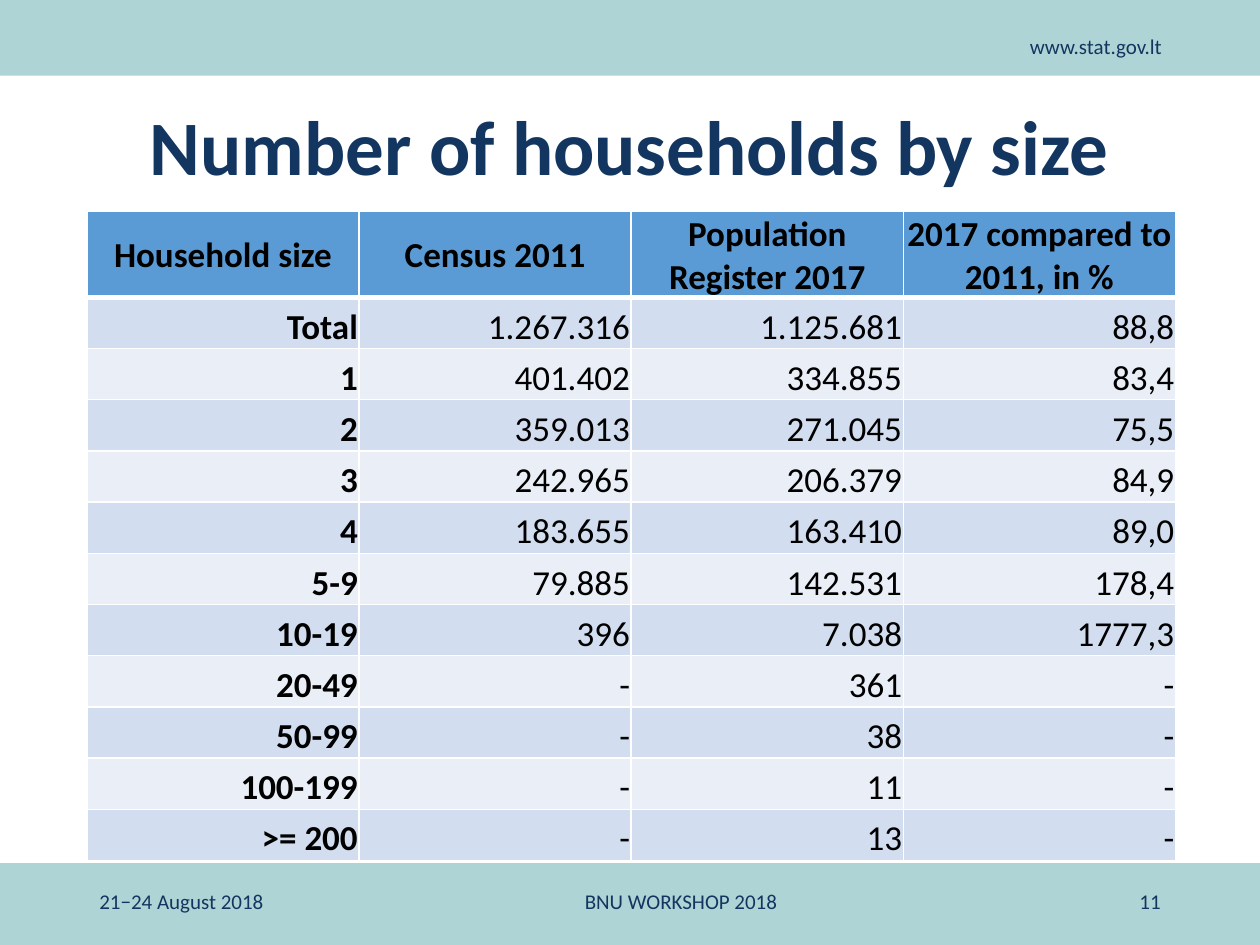
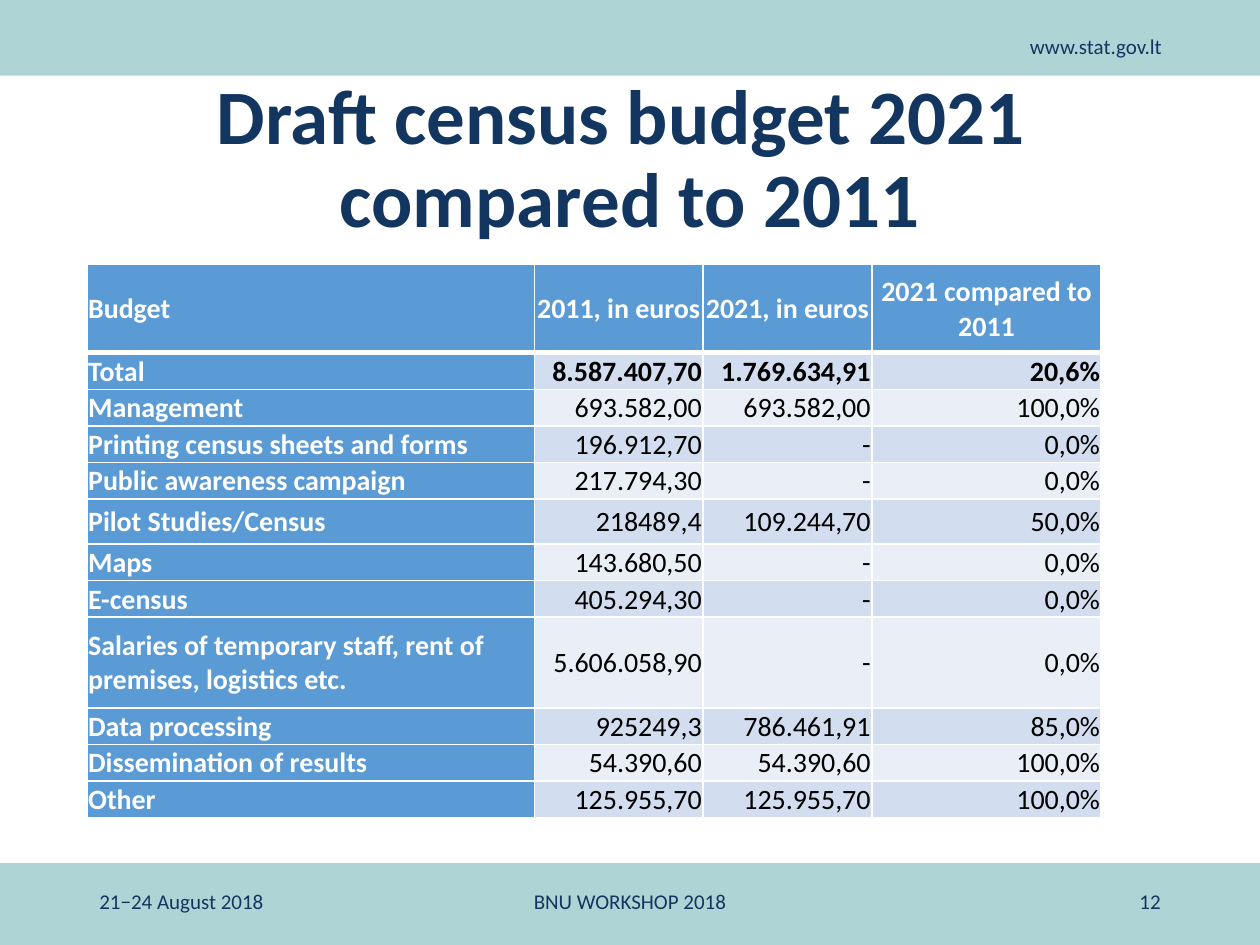
from lxml import etree
from pptx import Presentation
from pptx.dml.color import RGBColor
from pptx.enum import shapes, text
from pptx.oxml import ns
from pptx.util import Inches, Pt

NAVY = RGBColor(0x13, 0x36, 0x60)
TEAL = RGBColor(0xAF, 0xD4, 0xD5)
BLUE = RGBColor(0x5B, 0x9B, 0xD5)
DARK_BAND = RGBColor(0xD2, 0xDE, 0xEF)
LIGHT_BAND = RGBColor(0xEA, 0xEF, 0xF7)
WHITE = RGBColor(0xFF, 0xFF, 0xFF)
BLACK = RGBColor(0, 0, 0)
FONT = "Calibri"
LEFT, CENTER, RIGHT = text.PP_ALIGN.LEFT, text.PP_ALIGN.CENTER, text.PP_ALIGN.RIGHT
MIDDLE, BOTTOM, TOP = text.MSO_ANCHOR.MIDDLE, text.MSO_ANCHOR.BOTTOM, text.MSO_ANCHOR.TOP
MARGIN = Inches(0.69)

HOUSEHOLDS = [
    ("Household size", "Census 2011", "Population Register 2017", "2017 compared to 2011, in %"),
    ("Total", "1.267.316", "1.125.681", "88,8"),
    ("1", "401.402", "334.855", "83,4"),
    ("2", "359.013", "271.045", "75,5"),
    ("3", "242.965", "206.379", "84,9"),
    ("4", "183.655", "163.410", "89,0"),
    ("5-9", "79.885", "142.531", "178,4"),
    ("10-19", "396", "7.038", "1777,3"),
    ("20-49", "-", "361", "-"),
    ("50-99", "-", "38", "-"),
    ("100-199", "-", "11", "-"),
    (">= 200", "-", "13", "-"),
]
BUDGET = [
    ("Budget", "2011, in euros", "2021, in euros", "2021 compared to 2011"),
    ("Total", "8.587.407,70", "1.769.634,91", "20,6%"),
    ("Management", "693.582,00", "693.582,00", "100,0%"),
    ("Printing census sheets and forms", "196.912,70", "-", "0,0%"),
    ("Public awareness campaign", "217.794,30", "-", "0,0%"),
    ("Pilot Studies/Census", "218489,4", "109.244,70", "50,0%"),
    ("Maps", "143.680,50", "-", "0,0%"),
    ("E-census", "405.294,30", "-", "0,0%"),
    ("Salaries of temporary staff, rent of premises, logistics etc.", "5.606.058,90", "-", "0,0%"),
    ("Data processing", "925249,3", "786.461,91", "85,0%"),
    ("Dissemination of results", "54.390,60", "54.390,60", "100,0%"),
    ("Other", "125.955,70", "125.955,70", "100,0%"),
]


def write(frame, words, size=12, color=NAVY, bold=False, align=LEFT, spacing=None):
    """Fill a text frame with one formatted paragraph."""
    frame.text = words
    frame.word_wrap = True
    paragraph = frame.paragraphs[0]
    paragraph.alignment = align
    paragraph.line_spacing = spacing
    for run in paragraph.runs:
        run.font.name, run.font.size = FONT, Pt(size)
        run.font.bold, run.font.color.rgb = bold, color


def add_band(slide, top, height):
    """Draw a full-width teal band."""
    band = slide.shapes.add_shape(shapes.MSO_SHAPE.RECTANGLE, 0, top, Inches(10), height)
    band.shadow.inherit = False
    band.fill.solid()
    band.fill.fore_color.rgb = TEAL
    band.line.fill.background()


def add_label(slide, box, words, align=LEFT, anchor=MIDDLE):
    """Place a small label in a band."""
    frame = slide.shapes.add_textbox(*box).text_frame
    write(frame, words, align=align)
    frame.vertical_anchor = anchor


def add_footer(slide, top, number, event_width):
    """Place date, event and slide number in one row."""
    side, height = Inches(2.25), Inches(0.4)
    add_label(slide, (MARGIN, top, side, height), "21−24 August 2018")
    add_label(slide, (Inches(3.31), top, event_width, height), "BNU WORKSHOP 2018", CENTER)
    add_label(slide, (Inches(10) - MARGIN - side, top, side, height), str(number), RIGHT)


def add_page(deck, title, title_top, number, event_width):
    """Start a slide with title, bands, address and footer."""
    slide = deck.slides.add_slide(deck.slide_layouts[5])
    heading = slide.shapes.title
    heading.left, heading.top = MARGIN, title_top
    heading.width, heading.height = Inches(8.62), Inches(1.15)
    write(heading.text_frame, title, size=44, bold=True, align=CENTER, spacing=0.9)
    heading.text_frame.vertical_anchor = MIDDLE
    heading.text_frame.auto_size = text.MSO_AUTO_SIZE.NONE
    add_band(slide, 0, Inches(0.6))
    add_band(slide, Inches(6.85), Inches(0.65))
    add_label(slide, (Inches(7.19), Inches(0.22), Inches(2.13), Inches(0.3)),
              "www.stat.gov.lt", RIGHT, TOP)
    add_footer(slide, Inches(6.95), number, event_width)
    return slide


def set_borders(cell, row):
    """Rule a cell in white, with a thick line under the header."""
    widths = {"L": 1, "R": 1, "T": 3 if row == 1 else 1, "B": 3 if row == 0 else 1}
    properties = cell._tc.get_or_add_tcPr()
    for side, width in widths.items():
        line = etree.SubElement(properties, ns.qn(f"a:ln{side}"), w=str(Pt(width)))
        fill = etree.SubElement(line, ns.qn("a:solidFill"))
        etree.SubElement(fill, ns.qn("a:srgbClr"), val=str(WHITE))


def fill_cell(cell, row, words, fill, anchor, **style):
    """Write, rule and colour one table cell."""
    set_borders(cell, row)
    cell.fill.solid()
    cell.fill.fore_color.rgb = fill
    cell.margin_left = cell.margin_right = cell.margin_top = Inches(0.01)
    cell.margin_bottom = 0
    cell.vertical_anchor = anchor
    write(cell.text_frame, words, **style)


def add_grid(slide, top, entries, widths, heights, style_of):
    """Build a banded table whose cell styles follow the given rule."""
    grid = slide.shapes.add_table(len(entries), len(widths), MARGIN, top,
                                  Inches(sum(widths)), Inches(sum(heights))).table
    for column, width in zip(grid.columns, widths):
        column.width = Inches(width)
    for r, (entry, height) in enumerate(zip(entries, heights)):
        grid.rows[r].height = Inches(height)
        for c, words in enumerate(entry):
            band = BLUE if r == 0 else DARK_BAND if r % 2 else LIGHT_BAND
            fill_cell(grid.cell(r, c), r, words, **{"fill": band, **style_of(r, c)})


def household_style(row, column):
    """Give the cell style of the household table."""
    header = row == 0
    return dict(size=20, color=BLACK, bold=header or column == 0,
                align=CENTER if header else RIGHT, anchor=MIDDLE if header else BOTTOM)


def budget_style(row, column):
    """Give the cell style of the budget table."""
    style = dict(size=16, color=BLACK, bold=row == 1, align=RIGHT,
                 anchor=BOTTOM if (row, column) == (1, 3) else MIDDLE)
    if row == 0 or column == 0:
        style.update(color=WHITE, bold=True, fill=BLUE, align=CENTER if column else LEFT)
    return style


def build_households(deck):
    """Build the slide on households by size."""
    slide = add_page(deck, "Number of households by size", Inches(0.62), 11, Inches(4.19))
    body_height = (5.15 - 0.68) / (len(HOUSEHOLDS) - 1)
    heights = [0.68] + [body_height] * (len(HOUSEHOLDS) - 1)
    add_grid(slide, Inches(1.68), HOUSEHOLDS, [2.16] * 4, heights, household_style)


def build_budget(deck):
    """Build the slide on the census budget."""
    slide = add_page(deck, "Draft census budget 2021 \vcompared to 2011",
                     Inches(0.7), 12, Inches(3.38))
    tall = {0: 0.7, 5: 0.36, 8: 0.72}
    heights = [tall.get(row, 0.29) for row in range(len(BUDGET))]
    add_grid(slide, Inches(2.1), BUDGET, [3.55, 1.34, 1.34, 1.82], heights, budget_style)


def main():
    """Build and save the deck."""
    deck = Presentation()
    deck.slide_width, deck.slide_height = Inches(10), Inches(7.5)
    build_households(deck)
    build_budget(deck)
    deck.save("out.pptx")


main()
